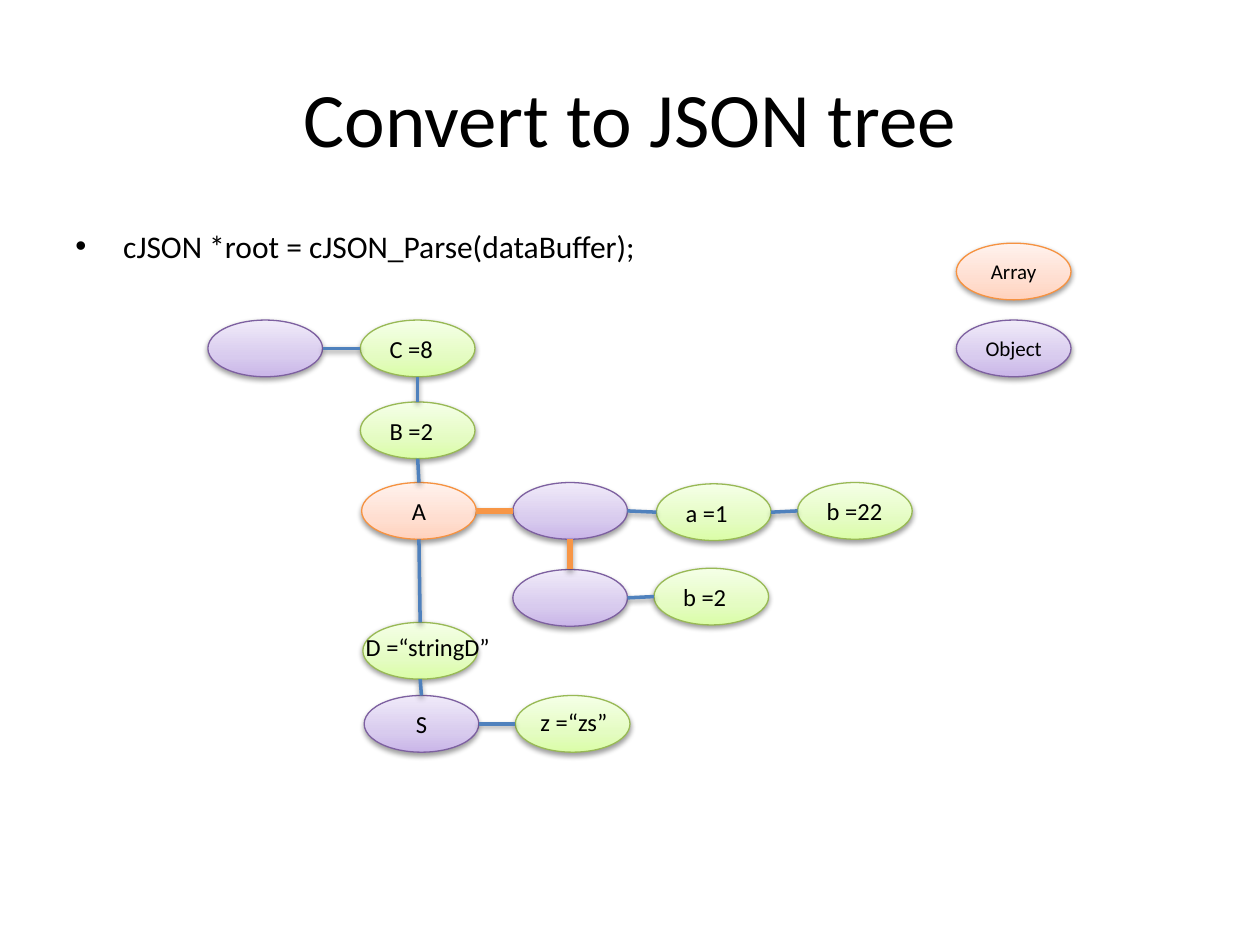
from pptx import Presentation
from pptx.dml.color import RGBColor
from pptx.enum import shapes, text
from pptx.oxml import parse_xml
from pptx.oxml.ns import nsdecls
from pptx.util import Inches, Pt

BLACK = RGBColor(0x00, 0x00, 0x00)
BLUE = RGBColor(0x4F, 0x81, 0xBD)
ORANGE = RGBColor(0xF7, 0x96, 0x46)
# Each kind of node: outline, then gradient colours from bottom to top
OBJECT = [RGBColor.from_string(c) for c in ("7D60A0", "C9B5E8", "D8CBEE", "F0EAF9")]
VALUE = [RGBColor.from_string(c) for c in ("98B955", "DAFDA7", "E4FCC2", "F5FFE7")]
ARRAY = [RGBColor.from_string(c) for c in ("F69240", "FFD2BD", "FFDED0", "FFF2ED")]
GRADIENT_STOPS = (0, 35000, 100000)

NODE_WIDTH, NODE_HEIGHT = Inches(0.91), Inches(0.45)
LEFT, CENTER = text.PP_ALIGN.LEFT, text.PP_ALIGN.CENTER

# name: (x, y, kind, label, alignment), x and y in inches within the tree
NODES = {
    "root": (0, 0, OBJECT, "", CENTER),
    "C": (1.21, 0, VALUE, "C =8", LEFT),
    "B": (1.21, 0.65, VALUE, "B =2", LEFT),
    "A": (1.22, 1.29, ARRAY, "A", CENTER),
    "D": (1.23, 2.4, VALUE, "", CENTER),
    "S": (1.24, 2.98, OBJECT, "S", CENTER),
    "first": (2.42, 1.29, OBJECT, "", CENTER),
    "second": (2.42, 1.98, OBJECT, "", CENTER),
    "second b": (3.54, 1.97, VALUE, "b =2", LEFT),
    "first a": (3.56, 1.3, VALUE, "a =1", LEFT),
    "first b": (4.68, 1.29, VALUE, "b =22", LEFT),
    "z": (2.44, 2.98, VALUE, "", CENTER),
}
ROW_LINKS = [("root", "C"), ("first", "first a"), ("first a", "first b"),
             ("second", "second b"), ("S", "z"), ("A", "first")]
COLUMN_LINKS = [("C", "B"), ("B", "A"), ("A", "D"), ("D", "S"), ("first", "second")]
ARRAY_LINKS = [("A", "first"), ("first", "second")]
# Labels wider than their node: name, text, x and y from the node, width
WIDE_LABELS = [("D", "D =“stringD”", -0.16, 0.03, 1.35),
               ("z", "z =“zs”", -0.01, 0.04, 0.95)]


def add_shadow(shape):
    properties = shape._element.spPr
    properties.append(parse_xml(
        f'<a:effectLst {nsdecls("a")}>'
        '<a:outerShdw blurRad="40000" dist="20000" dir="5400000" rotWithShape="0">'
        '<a:srgbClr val="000000"><a:alpha val="38000"/></a:srgbClr>'
        '</a:outerShdw></a:effectLst>'))


def fill_gradient(shape, colors):
    shape.fill.gradient()
    shape.fill.gradient_angle = 90
    stop_list = shape._element.spPr.find(".//{*}gsLst")
    for stop in list(stop_list):
        stop_list.remove(stop)
    for position, color in zip(GRADIENT_STOPS, colors):
        stop_list.append(parse_xml(
            f'<a:gs {nsdecls("a")} pos="{position}"><a:srgbClr val="{color}"/></a:gs>'))


def write(paragraph, content, size, alignment):
    paragraph.alignment = alignment
    run = paragraph.add_run()
    run.text = content
    run.font.name = "Calibri"
    run.font.size = Pt(size)
    run.font.color.rgb = BLACK


def add_text(slide, left, top, width, height, content, size, alignment,
             anchor=text.MSO_ANCHOR.TOP):
    frame = slide.shapes.add_textbox(left, top, width, height).text_frame
    frame.word_wrap = True
    frame.vertical_anchor = anchor
    write(frame.paragraphs[0], content, size, alignment)
    return frame.paragraphs[0]


def add_node(slide, left, top, kind, label, alignment, size=14):
    node = slide.shapes.add_shape(shapes.MSO_SHAPE.OVAL, left, top, NODE_WIDTH, NODE_HEIGHT)
    outline, *gradient = kind
    fill_gradient(node, gradient)
    node.line.color.rgb = outline
    node.line.width = Pt(0.75)
    add_shadow(node)
    if label:
        frame = node.text_frame
        frame.word_wrap = True
        frame.vertical_anchor = text.MSO_ANCHOR.MIDDLE
        if alignment == LEFT:
            frame.margin_right = Inches(0.05)
        write(frame.paragraphs[0], label, size, alignment)
    return node


def add_link(slide, start, end, color, width):
    link = slide.shapes.add_connector(shapes.MSO_CONNECTOR.STRAIGHT, *start, *end)
    link.line.color.rgb = color
    link.line.width = Pt(width)
    add_shadow(link)


def add_bullet(slide, left, top, width, height, content):
    paragraph = add_text(slide, left, top, width, height, content, 18, LEFT)
    properties = paragraph._p.get_or_add_pPr()
    properties.set("marL", str(Inches(0.38)))
    properties.set("indent", str(-Inches(0.38)))
    properties.append(parse_xml(f'<a:buFont {nsdecls("a")} typeface="Arial"/>'))
    properties.append(parse_xml(f'<a:buChar {nsdecls("a")} char="•"/>'))


def add_tree(slide, left, top):
    nodes = {name: add_node(slide, left + Inches(x), top + Inches(y), *style)
             for name, (x, y, *style) in NODES.items()}
    for pair in ROW_LINKS + COLUMN_LINKS:
        first, last = (nodes[name] for name in pair)
        if pair in ROW_LINKS:
            start = first.left + NODE_WIDTH, first.top + NODE_HEIGHT // 2
            end = last.left, last.top + NODE_HEIGHT // 2
        else:
            start = first.left + NODE_WIDTH // 2, first.top + NODE_HEIGHT
            end = last.left + NODE_WIDTH // 2, last.top
        color, width = (ORANGE, 3) if pair in ARRAY_LINKS else (BLUE, 2)
        add_link(slide, start, end, color, width)
    for name, label, x, y, width in WIDE_LABELS:
        add_text(slide, nodes[name].left + Inches(x), nodes[name].top + Inches(y),
                 Inches(width), Inches(0.34), label, 14, CENTER)


def add_legend(slide, left, top):
    add_node(slide, left, top, ARRAY, "Array", CENTER, 12)
    add_node(slide, left, top + Inches(0.61), OBJECT, "Object", LEFT, 12)


def main():
    presentation = Presentation()
    presentation.slide_width, presentation.slide_height = Inches(10), Inches(7.5)
    slide = presentation.slides.add_slide(presentation.slide_layouts[6])
    add_text(slide, Inches(0.5), Inches(0.3), Inches(9), Inches(1.25),
             "Convert to JSON tree", 44, CENTER, text.MSO_ANCHOR.MIDDLE)
    add_bullet(slide, Inches(0.5), Inches(1.75), Inches(9), Inches(4.95),
               "cJSON *root = cJSON_Parse(dataBuffer);")
    add_tree(slide, Inches(1.65), Inches(2.54))
    add_legend(slide, Inches(7.59), Inches(1.93))
    presentation.save("out.pptx")


if __name__ == "__main__":
    main()
